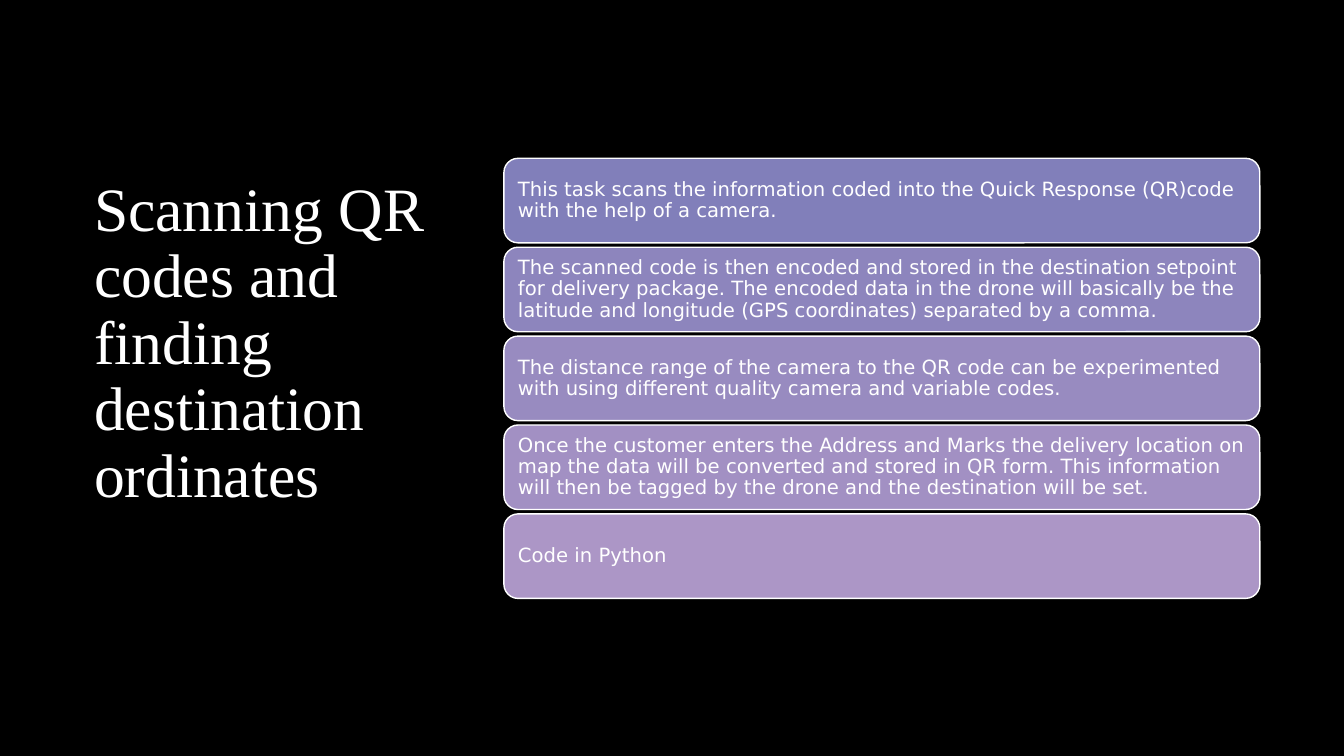
from dataclasses import dataclass

from pptx import Presentation
from pptx.dml.color import RGBColor
from pptx.enum import shapes, text
from pptx.shapes.autoshape import Shape
from pptx.slide import Slide
from pptx.util import Cm, Pt

BLACK = RGBColor(0x00, 0x00, 0x00)
WHITE = RGBColor(0xFF, 0xFF, 0xFF)

CARD_LEFT, CARD_TOP = 12.7, 3.99
CARD_WIDTH, CARD_HEIGHT = 19.05, 2.13
CARD_PITCH = 2.24


@dataclass(frozen=True)
class Card:
    content: str
    fill: RGBColor


CARDS = [
    Card(
        "This task scans the information coded into the Quick Response (QR)code "
        "with the help of a camera.",
        RGBColor(0x81, 0x7F, 0xBA),
    ),
    Card(
        "The scanned code is then encoded and stored in the destination setpoint "
        "for delivery package. The encoded data in the drone will basically be the "
        "latitude and longitude (GPS coordinates) separated by a comma.",
        RGBColor(0x8D, 0x85, 0xBD),
    ),
    Card(
        "The distance range of the camera to the QR code can be experimented "
        "with using different quality camera and variable codes.",
        RGBColor(0x98, 0x8B, 0xC0),
    ),
    Card(
        "Once the customer enters the Address and Marks the delivery location on "
        "map the data will be converted and stored in QR form. This information "
        "will then be tagged by the drone and the destination will be set.",
        RGBColor(0xA2, 0x90, 0xC3),
    ),
    Card("Code in Python", RGBColor(0xAC, 0x96, 0xC6)),
]


def write_text(
    shape: Shape,
    content: str,
    *,
    font: str,
    size: float,
    side_margin: float = 0.25,
    bottom_margin: float = 0.13,
) -> None:
    """Fill a shape with left-aligned white text; margins are in centimetres."""
    frame = shape.text_frame
    frame.word_wrap = True
    frame.auto_size = text.MSO_AUTO_SIZE.NONE
    frame.vertical_anchor = text.MSO_ANCHOR.MIDDLE
    frame.margin_left = frame.margin_right = Cm(side_margin)
    frame.margin_top = Cm(0.13)
    frame.margin_bottom = Cm(bottom_margin)
    paragraph = frame.paragraphs[0]
    paragraph.alignment = text.PP_ALIGN.LEFT
    paragraph.line_spacing = 0.9
    run = paragraph.add_run()
    run.text = content
    run.font.name = font
    run.font.size = Pt(size)
    run.font.color.rgb = WHITE


def add_title(slide: Slide) -> None:
    title = slide.shapes.title
    title.left, title.top = Cm(2.12), Cm(4.24)
    title.width, title.height = Cm(10.58), Cm(10.57)
    write_text(
        title,
        "Scanning QR codes and finding destination ordinates",
        font="Times New Roman",
        size=44,
        bottom_margin=1.82,
    )


def add_card(slide: Slide, card: Card, top: float) -> None:
    shape = slide.shapes.add_shape(
        shapes.MSO_SHAPE.ROUNDED_RECTANGLE,
        Cm(CARD_LEFT), Cm(top), Cm(CARD_WIDTH), Cm(CARD_HEIGHT),
    )
    shape.shadow.inherit = False
    shape.fill.solid()
    shape.fill.fore_color.rgb = card.fill
    shape.line.color.rgb = WHITE
    shape.line.width = Pt(1)
    write_text(shape, card.content, font="DejaVu Sans", size=14)


def main() -> None:
    presentation = Presentation()
    presentation.slide_width, presentation.slide_height = Cm(33.87), Cm(19.05)
    slide = presentation.slides.add_slide(presentation.slide_layouts[5])
    slide.background.fill.solid()
    slide.background.fill.fore_color.rgb = BLACK
    add_title(slide)
    for index, card in enumerate(CARDS):
        add_card(slide, card, CARD_TOP + index * CARD_PITCH)
    presentation.save("out.pptx")


if __name__ == "__main__":
    main()
